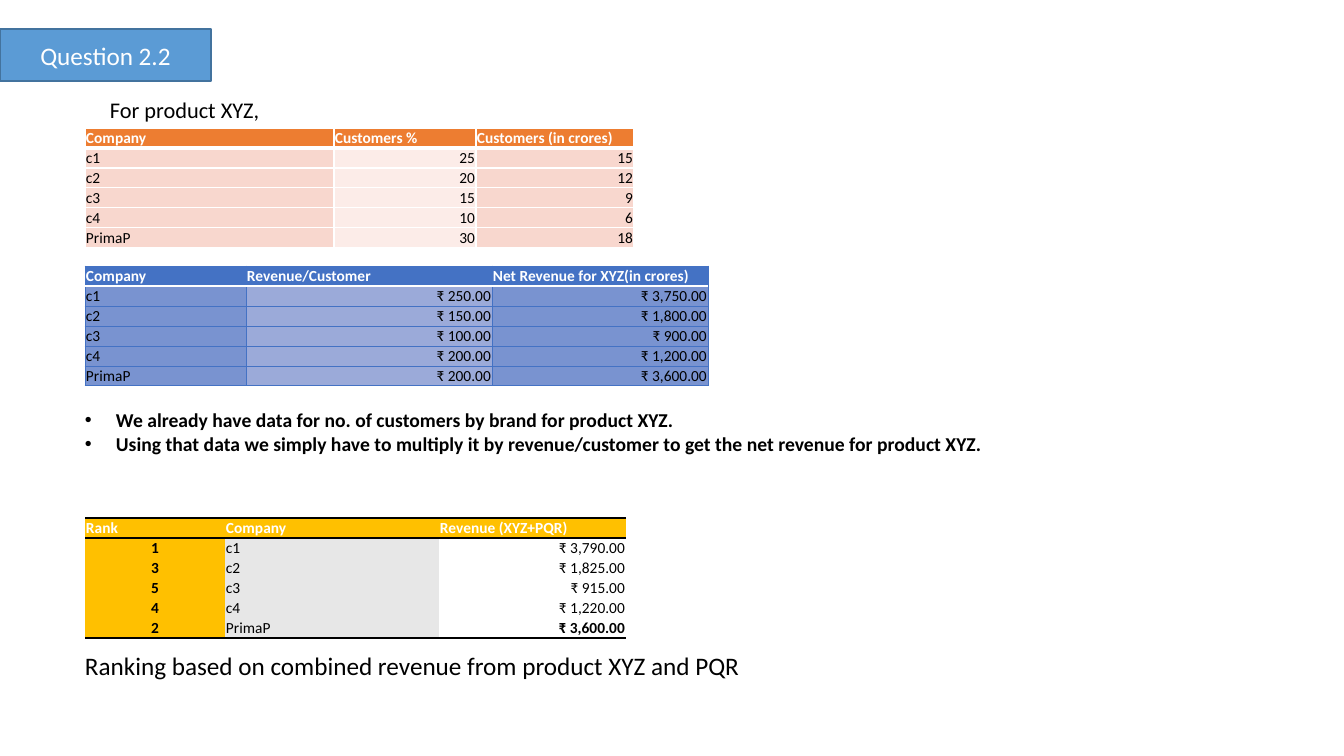
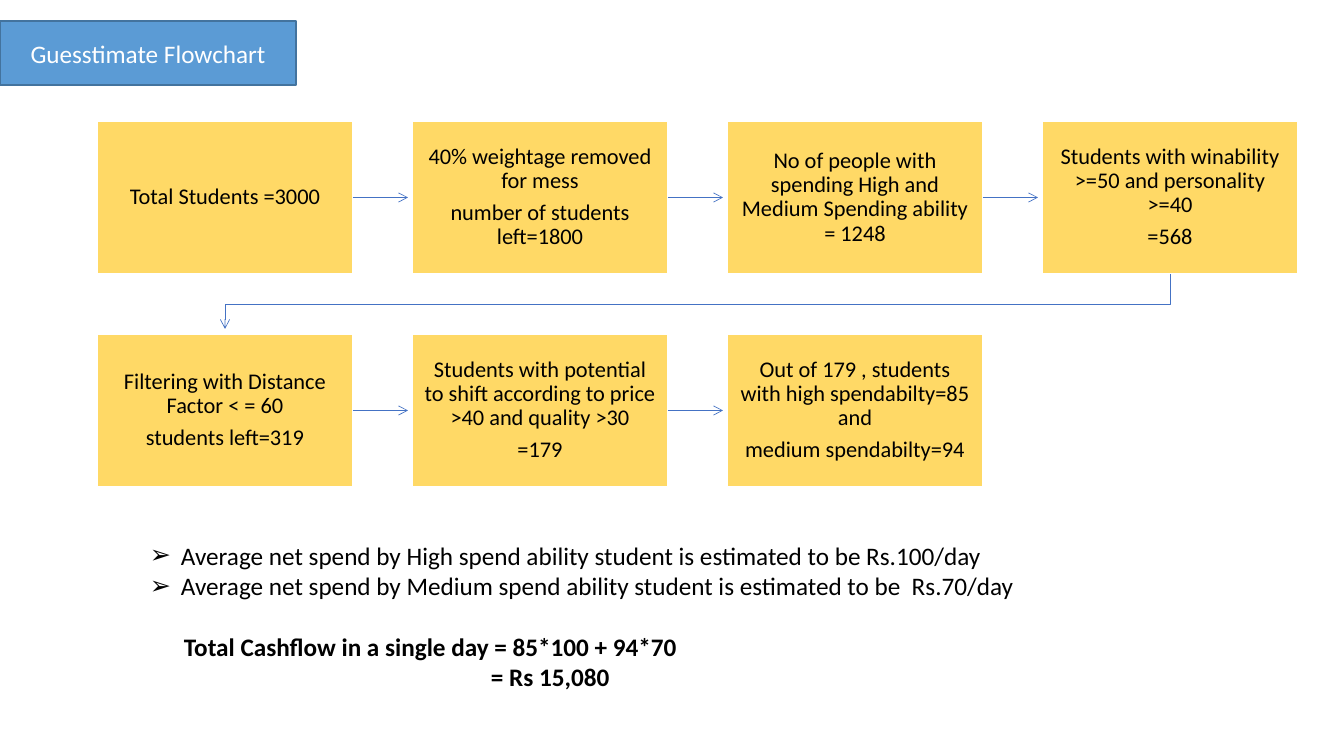
from lxml import etree
from pptx import Presentation
from pptx.dml.color import RGBColor
from pptx.enum.shapes import MSO_CONNECTOR, MSO_SHAPE
from pptx.enum.text import MSO_ANCHOR, PP_ALIGN
from pptx.oxml.ns import qn
from pptx.util import Pt

LEFT, CENTER, RIGHT = PP_ALIGN.LEFT, PP_ALIGN.CENTER, PP_ALIGN.RIGHT
TOP, MIDDLE, BOTTOM = MSO_ANCHOR.TOP, MSO_ANCHOR.MIDDLE, MSO_ANCHOR.BOTTOM
RECTANGLE, STRAIGHT = MSO_SHAPE.RECTANGLE, MSO_CONNECTOR.STRAIGHT

EMU_PER_PIXEL = 914400 / 100.8
FONT = "Calibri"
BLACK, WHITE, BLUE = "000000", "FFFFFF", "4472C4"
BANNER, BANNER_EDGE = "5B9BD5", "43739E"
ORANGE, PEACH, PALE_PEACH = "ED7D31", "F8D7CE", "FCECE8"
DEEP_PERIWINKLE, PERIWINKLE = "7993D0", "9BAAD9"
AMBER, GREY, STEP_YELLOW = "FFC000", "E7E7E7", "FFD966"
ROW_HEIGHT = 20

COMPANIES = ["c1", "c2", "c3", "c4", "PrimaP"]
CUSTOMER_SHARES = [25, 20, 15, 10, 30]
CUSTOMERS = [15, 12, 9, 6, 18]
REVENUE_PER_CUSTOMER = [250, 150, 100, 200, 200]
NET_REVENUE = [3750, 1800, 900, 1200, 3600]
RANKS = [1, 3, 5, 4, 2]
COMBINED_REVENUE = [3790, 1825, 915, 1220, 3600]

STEPS = [
    ["Total Students =3000"],
    ["40% weightage removed for mess", "number of students left=1800"],
    ["No of people with spending High and Medium Spending ability = 1248"],
    ["Students with winability >=50 and personality >=40", "=568"],
    ["Filtering with Distance Factor < = 60", "students left=319"],
    ["Students with potential to shift according to price >40 and quality >30",
     "=179"],
    ["Out of 179 , students with high spendabilty=85 and",
     "medium spendabilty=94"],
]
STEPS_PER_ROW = 4
STEP_LEFT, STEP_TOP = 97, 121
STEP_WIDTH, STEP_HEIGHT = 256, 153
STEP_PITCH_X, STEP_PITCH_Y = 315, 213
ARROW_LENGTH = 55


def px(length):
    return round(length * EMU_PER_PIXEL)


def rgb(value):
    return RGBColor.from_string(value)


def rupees(amounts):
    return [f"₹ {amount:,.2f}" for amount in amounts]


def write(frame, lines, size=18, color=BLACK, bold=False, align=LEFT,
          line_spacing=None, before=0, after=0, indent=0, bullet=None):
    for line in lines:
        paragraph = frame.add_paragraph() if frame.text else frame.paragraphs[0]
        paragraph.alignment = align
        paragraph.line_spacing = line_spacing
        paragraph.space_before, paragraph.space_after = Pt(before), Pt(after)
        run = paragraph.add_run()
        run.text = str(line)
        run.font.name, run.font.size, run.font.bold = FONT, Pt(size), bold
        run.font.color.rgb = rgb(color)
        properties = paragraph._p.get_or_add_pPr()
        properties.set("marL", str(px(indent)))
        if bullet:
            properties.set("indent", str(-px(indent)))
            etree.SubElement(properties, qn("a:buFont"), typeface="Arial")
            etree.SubElement(properties, qn("a:buChar"), char=bullet)


def add_text(slide, left, top, width, height, lines, wrap=True, **style):
    box = slide.shapes.add_textbox(px(left), px(top), px(width), px(height))
    frame = box.text_frame
    frame.word_wrap = wrap
    frame.vertical_anchor = TOP
    write(frame, lines, **style)
    return frame


def add_box(slide, left, top, width, height, lines, fill, edge, inset=10, **style):
    box = slide.shapes.add_shape(RECTANGLE, px(left), px(top), px(width), px(height))
    box.shadow.inherit = False
    box.fill.solid()
    box.fill.fore_color.rgb = rgb(fill)
    box.line.color.rgb = rgb(edge)
    box.line.width = Pt(1)
    frame = box.text_frame
    frame.word_wrap = True
    frame.vertical_anchor = MIDDLE
    frame.margin_left = frame.margin_right = px(inset)
    frame.margin_top = frame.margin_bottom = px(inset)
    write(frame, lines, align=CENTER, **style)


def add_banner(slide, top, width, height, title):
    add_box(slide, 0, top, width, height, [title], BANNER, BANNER_EDGE, color=WHITE)


def draw_border(cell, side, rule):
    properties = cell._tc.get_or_add_tcPr()
    border = etree.SubElement(properties, qn(f"a:ln{side}"))
    if rule is None:
        etree.SubElement(border, qn("a:noFill"))
        return
    color, width = rule
    border.set("w", str(Pt(width)))
    solid = etree.SubElement(border, qn("a:solidFill"))
    etree.SubElement(solid, qn("a:srgbClr"), val=color)


def add_grid(slide, left, top, widths, headings, columns, header_fill, fills,
             aligns, vertical, top_rule, header_rule, inner, bottom, bold_cells=()):
    rows = [headings, *zip(*columns)]
    rules = [top_rule, header_rule] + [inner] * (len(rows) - 2) + [bottom]
    table = slide.shapes.add_table(
        len(rows), len(widths), px(left), px(top),
        px(sum(widths)), px(ROW_HEIGHT * len(rows))).table
    table.first_row = table.horz_banding = False
    for column, width in zip(table.columns, widths):
        column.width = px(width)
    for r, values in enumerate(rows):
        table.rows[r].height = px(ROW_HEIGHT)
        for c, value in enumerate(values):
            cell = table.cell(r, c)
            heading = r == 0
            cell.margin_left = cell.margin_right = cell.margin_top = px(1)
            cell.margin_bottom = 0
            cell.vertical_anchor = BOTTOM
            for side, rule in zip("LRTB", (vertical, vertical, rules[r], rules[r + 1])):
                draw_border(cell, side, rule)
            cell.fill.solid()
            cell.fill.fore_color.rgb = rgb(header_fill if heading else fills[c])
            write(cell.text_frame, [value], size=11,
                  color=WHITE if heading else BLACK,
                  bold=heading or (r, c) in bold_cells,
                  align=LEFT if heading else aligns[c])


def style_arrow(arrow):
    arrow.line.color.rgb = rgb(BLUE)
    arrow.line.width = Pt(0.5)
    etree.SubElement(arrow.line._get_or_add_ln(), qn("a:tailEnd"), type="arrow")


def add_arrow(slide, left, y):
    arrow = slide.shapes.add_connector(
        STRAIGHT, px(left), px(y), px(left + ARROW_LENGTH), px(y))
    style_arrow(arrow)
    etree.SubElement(arrow._element.spPr, qn("a:effectLst"))


def add_bent_arrow(slide, points):
    start, *corners = [(px(x), px(y)) for x, y in points]
    builder = slide.shapes.build_freeform(*start)
    builder.add_line_segments(corners, close=False)
    arrow = builder.convert_to_shape()
    arrow.fill.background()
    style_arrow(arrow)
    arrow.shadow.inherit = False


def add_flowchart(slide):
    for index, lines in enumerate(STEPS):
        row, column = divmod(index, STEPS_PER_ROW)
        left = STEP_LEFT + column * STEP_PITCH_X
        top = STEP_TOP + row * STEP_PITCH_Y
        add_box(slide, left, top, STEP_WIDTH, STEP_HEIGHT, lines, STEP_YELLOW, WHITE,
                inset=12, size=16, line_spacing=0.9, after=5.6)
        if index == len(STEPS) - 1:
            continue
        if column < STEPS_PER_ROW - 1:
            add_arrow(slide, left + STEP_WIDTH, top + STEP_HEIGHT / 2)
        else:
            end = left + STEP_WIDTH / 2
            start = STEP_LEFT + STEP_WIDTH / 2
            base = top + STEP_HEIGHT
            turn = base + 30
            add_bent_arrow(slide, [(end, base), (end, turn), (start, turn),
                                   (start, base + ARROW_LENGTH)])


def build_question(slide):
    add_banner(slide, 29, 211, 52, "Question 2.2")
    add_text(slide, 100, 91, 171, 37, ["For product XYZ,"], wrap=False, size=16)
    thin_white, thin_blue, thick_black = (WHITE, 1), (BLUE, 0.5), (BLACK, 2)
    add_grid(slide, 85, 128, [249, 142, 158],
             ["Company", "Customers %", "Customers (in crores)"],
             [COMPANIES, CUSTOMER_SHARES, CUSTOMERS],
             ORANGE, [PEACH, PALE_PEACH, PEACH], [LEFT, RIGHT, RIGHT],
             vertical=thin_white, top_rule=thin_white, header_rule=(WHITE, 3),
             inner=thin_white, bottom=thin_white)
    add_grid(slide, 85, 266, [161, 246, 216],
             ["Company", "Revenue/Customer", "Net Revenue for XYZ(in crores)"],
             [COMPANIES, rupees(REVENUE_PER_CUSTOMER), rupees(NET_REVENUE)],
             BLUE, [DEEP_PERIWINKLE, PERIWINKLE, DEEP_PERIWINKLE],
             [LEFT, RIGHT, RIGHT],
             vertical=thin_blue, top_rule=thin_blue, header_rule=thin_white,
             inner=thin_blue, bottom=thin_blue)
    add_text(slide, 75, 403, 930, 57, [
        "We already have data for no. of customers by brand for product XYZ.",
        "Using that data we simply have to multiply it by revenue/customer "
        "to get the net revenue for product XYZ.",
    ], size=14, bold=True, indent=31, bullet="•")
    ranks_and_last = {(row, 0) for row in range(1, 6)} | {(5, 2)}
    add_grid(slide, 85, 518, [140, 214, 187],
             ["Rank", "Company", "Revenue (XYZ+PQR)"],
             [RANKS, COMPANIES, rupees(COMBINED_REVENUE)],
             AMBER, [AMBER, GREY, WHITE], [CENTER, LEFT, RIGHT],
             vertical=None, top_rule=thick_black, header_rule=thick_black,
             inner=None, bottom=thick_black, bold_cells=ranks_and_last)
    add_text(slide, 75, 645, 1020, 40,
             ["Ranking based on combined revenue from product XYZ and PQR"])


def build_guesstimate(slide):
    add_flowchart(slide)
    cashflow = add_text(slide, 140, 535, 895, 193, [
        "Average net spend by High spend ability student is estimated to be Rs.100/day",
        "Average net spend by Medium spend ability student is estimated to be  Rs.70/day",
    ], indent=31, bullet="➢")
    write(cashflow, ["Total Cashflow in a single day = 85*100 + 94*70"],
          bold=True, before=22, indent=34)
    write(cashflow, ["= Rs 15,080"], bold=True, indent=341)
    add_banner(slide, 21, 296, 64, "Guesstimate Flowchart")


def main():
    deck = Presentation()
    deck.slide_width, deck.slide_height = px(1344), px(756)
    blank = deck.slide_layouts[6]
    for build in (build_question, build_guesstimate):
        build(deck.slides.add_slide(blank))
    deck.save("out.pptx")


main()
